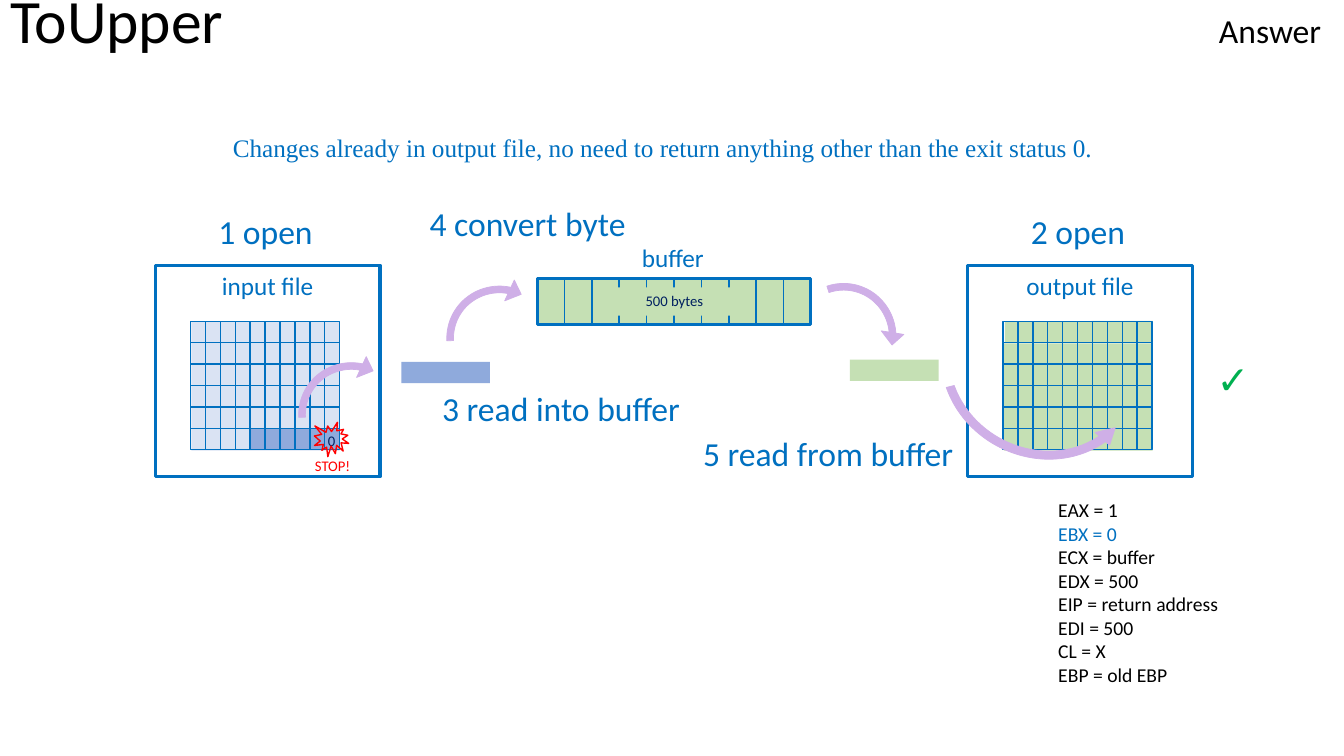
from pptx import Presentation, util as u
from pptx.dml import color
from pptx.enum import shapes, text
from lxml import etree

Pt = u.Pt
hue = color.RGBColor.from_string
kinds = shapes.MSO_SHAPE
rect = kinds.RECTANGLE
left, mid = text.PP_ALIGN.LEFT, text.PP_ALIGN.CENTER
blue, navy, green, steel = "0070C0", "002060", "C5E0B4", "8FAADC"
lilac, red, black = "CFAFE7", "FF0000", "000000"

deck = Presentation()
deck.slide_width, deck.slide_height = Pt(960), Pt(540)
page = deck.slides.add_slide(deck.slide_layouts[5])


def draw(kind, at, fill=None, line=None, wide=1):
    spot = [Pt(n) for n in at]
    if kind is None:
        return page.shapes.add_textbox(*spot)
    item = page.shapes.add_shape(kind, *spot)
    item.shadow.inherit = False
    if fill:
        item.fill.solid()
        item.fill.fore_color.rgb = hue(fill)
    else:
        item.fill.background()
    if line:
        item.line.color.rgb = hue(line)
        item.line.width = Pt(wide)
    else:
        item.line.fill.background()
    return item


def write(item, rows, size, align=mid, face="Calibri", wrap=True):
    frame = item.text_frame
    form = {"word_wrap": wrap, "vertical_anchor": text.MSO_ANCHOR.TOP}
    for key, val in form.items():
        setattr(frame, key, val)
    for i, (words, tint) in enumerate(rows):
        para = frame.add_paragraph() if i else frame.paragraphs[0]
        para.alignment = align
        run = para.add_run()
        run.text = words
        for key, val in {"size": Pt(size), "name": face}.items():
            setattr(run.font, key, val)
        run.font.color.rgb = hue(tint)


title = page.shapes.title
place = {"left": 0, "top": -11.5, "width": 960, "height": 104.4}
for key, val in place.items():
    setattr(title, key, Pt(val))
frame = title.text_frame
form = {"auto_size": text.MSO_AUTO_SIZE.NONE, "margin_bottom": Pt(52),
        "vertical_anchor": text.MSO_ANCHOR.MIDDLE, "word_wrap": True}
for key, val in form.items():
    setattr(frame, key, val)
para = frame.paragraphs[0]
para.alignment, para.line_spacing = left, 0.9
for words, size in [("ToUpper\t", 44), ("Answer", 24)]:
    run = para.add_run()
    run.text = words
    for key, val in {"size": Pt(size), "name": "Calibri"}.items():
        setattr(run.font, key, val)
    run.font.color.rgb = hue(black)
space = "{http://schemas.openxmlformats.org/drawingml/2006/main}"
tabs = etree.SubElement(para._p.get_or_add_pPr(), space + "tabLst")
etree.SubElement(tabs, space + "tab", pos=str(Pt(936.5)), algn="r")

note = "Changes already in output file, no need to return anything other than the exit status 0."
write(draw(None, (159.2, 90.7, 643.7, 29)), [(note, blue)], 18, left, "Times New Roman")

for at, fill in [
    ((717.8, 229.7, 63.4, 15.2), green),
    ((717.1, 245.3, 106.3, 76.5), green),
    ((779.8, 229.2, 43.7, 15.2), green),
    ((136.8, 229.7, 105.8, 92.2), "DAE3F3"),
    ((179.3, 305.9, 63.4, 15.2), steel),
    ((286.6, 258.5, 63.4, 15.2), steel),
    ((607, 257, 63.4, 15.2), green),
    ((384.5, 199.4, 195.1, 31.7), green),
]:
    draw(rect, at, fill)

for x, name in [(110.9, "input file"), (691.2, "output file")]:
    write(draw(rect, (x, 189.4, 160.6, 151.2), None, blue, 2.25), [(name, blue)], 18)
    for row in range(6):
        for col in range(6):
            at = (x + 25.4 + col * 10.6, 229.5 + row * 15.3, 53.3, 15.3)
            draw(rect, at, None, blue)

for col in range(6):
    draw(rect, (383.8 + col * 19.5, 198.7, 97.9, 33.1), None, blue)
write(draw(rect, (434.9, 205.2, 93.6, 20.2), green), [("500 bytes", navy)], 10.5)
draw(rect, (383.8, 198.7, 195.1, 33.1), None, blue, 2.25)
write(draw(None, (450.7, 169.9, 59.8, 28.8)), [("buffer", blue)], 18, wrap=False)

for x, y, words in [
    (50.4, 146.9, "1 open"),
    (630.7, 146.9, "2 open"),
    (261.4, 273.6, "3 read into buffer"),
    (237.6, 141.1, "4 convert byte"),
    (452.2, 306, "5 read from buffer"),
]:
    write(draw(None, (x, y, 278.6, 36)), [(words, blue)], 24)

bend = (0.055, 8.581, 203.368, 142.049, 0.094)
deep = (0.041, 6.038, 202.692, 133.515, 0.049)
for at, turn, flips, curve in [
    ((313.9, 198, 87.1, 88.6), 121.6, ("flipH", "flipV"), bend),
    ((558.7, 196.6, 87.1, 88.6), 195.7, ("flipH", "flipV"), bend),
    ((666.7, 189.4, 154.1, 141.1), 28.6, ("flipV",), deep),
    ((208.1, 252.7, 87.1, 88.6), 121.6, ("flipH", "flipV"), bend),
]:
    arrow = draw(kinds.CIRCULAR_ARROW, at, lilac, lilac, 0.5)
    arrow.rotation = turn
    for i, val in enumerate(curve):
        arrow.adjustments[i] = val
    for flip in flips:
        arrow._element.spPr.xfrm.set(flip, "1")

write(draw(None, (190.1, 304.6, 93.6, 20.2)), [("0", navy)], 10.5)
draw(kinds.EXPLOSION1, (224.6, 301.7, 24.5, 24.5), None, red)
write(draw(None, (190.8, 322.6, 93.6, 20.2)), [("STOP!", red)], 10.5)

state = [
    ("EAX = 1", black), ("EBX = 0", blue), ("ECX = buffer", black),
    ("EDX = 500", black), ("EIP = return address", black),
    ("EDI = 500", black), ("CL = X", black), ("EBP = old EBP", black),
]
write(draw(rect, (748.8, 352.1, 200.2, 143.3), "FFFFFF"), state, 14, left)
write(draw(None, (860.7, 250, 40, 41)), [("✓", "00B050")], 28)

deck.save("out.pptx")
